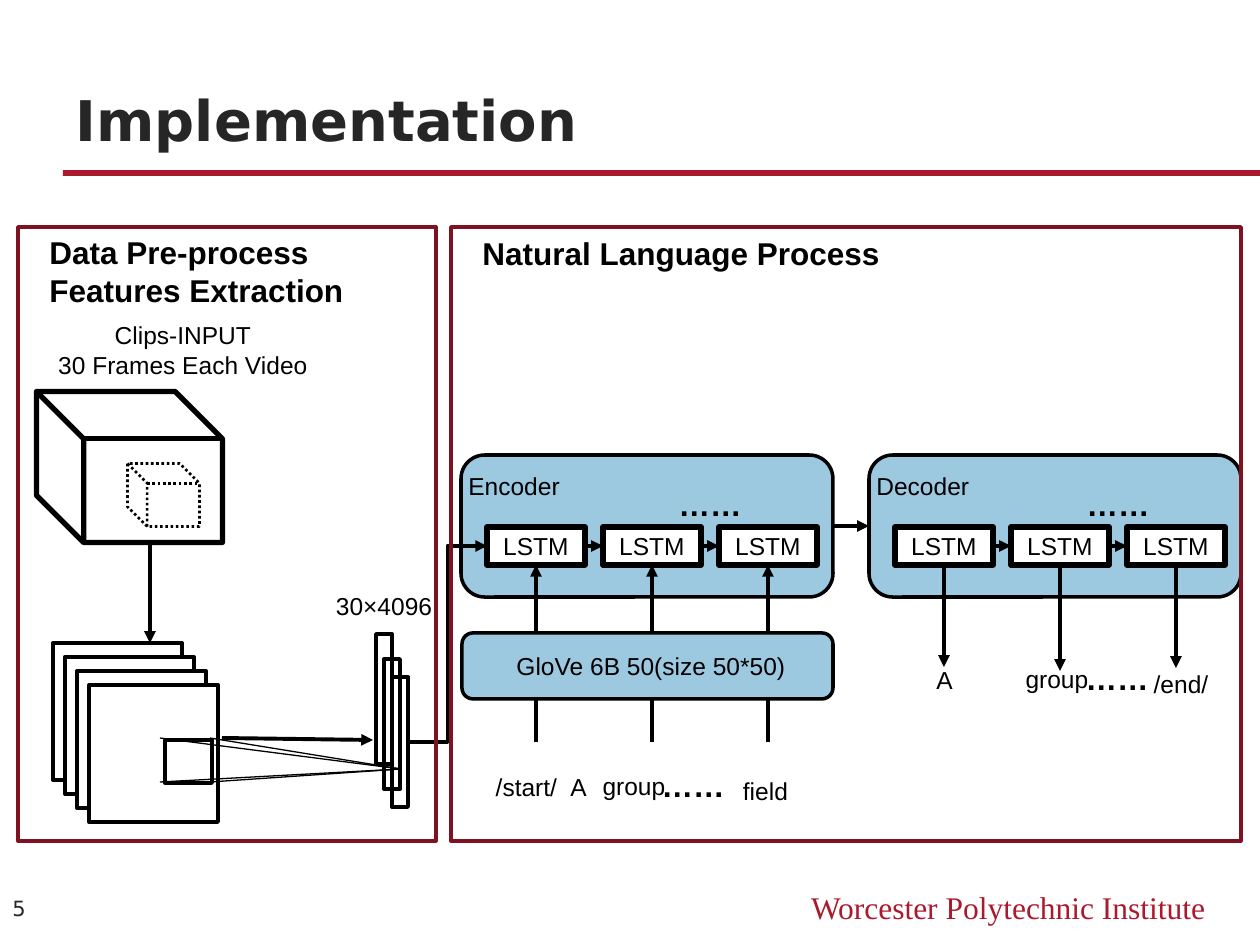
from lxml import etree
from pptx import Presentation
from pptx.dml.color import RGBColor
from pptx.enum.dml import MSO_LINE_DASH_STYLE as Dash
from pptx.enum.shapes import MSO_CONNECTOR as Connector, MSO_SHAPE as Shape
from pptx.enum.text import MSO_ANCHOR as Anchor, PP_ALIGN as Align
from pptx.oxml.ns import qn
from pptx.util import Pt

EMU_PER_PX = 914400 / 126
COLORS = {"rule": "AB192D", "frame": "7F1221", "block": "9CC8E0",
          "ink": "000000", "title": "262626", "paper": "FFFFFF"}
TOP, LEFT, BOTTOM, RIGHT = range(4)


def px(*lengths):
    return [round(length * EMU_PER_PX) for length in lengths]


def rgb(name):
    return RGBColor.from_string(COLORS[name])


def write(text_frame, lines, size=14, bold=False, align=Align.CENTER,
          font="Arial", color="ink", anchor=Anchor.TOP):
    """Fill a text frame, one paragraph per line; centred text has no side insets."""
    text_frame.word_wrap = True
    text_frame.vertical_anchor = anchor
    if align == Align.CENTER:
        text_frame.margin_left = text_frame.margin_right = 0
    for index, line in enumerate(lines):
        paragraph = text_frame.add_paragraph() if index else text_frame.paragraphs[0]
        paragraph.alignment = align
        run = paragraph.add_run()
        run.text = line
        run.font.size, run.font.bold, run.font.name = Pt(size), bold, font
        run.font.color.rgb = rgb(color)


def add_text(slide, box, *lines, **style):
    text_box = slide.shapes.add_textbox(*px(*box))
    write(text_box.text_frame, lines, **style)


def add_box(slide, box, kind=Shape.RECTANGLE, fill=None, line="ink", width=2.25):
    shape = slide.shapes.add_shape(kind, *px(*box))
    shape.shadow.inherit = False
    if fill:
        shape.fill.solid()
        shape.fill.fore_color.rgb = rgb(fill)
    else:
        shape.fill.background()
    if line:
        shape.line.color.rgb = rgb(line)
        shape.line.width = Pt(width)
    else:
        shape.line.fill.background()
    return shape


def add_line(slide, start=(0, 0), end=(0, 0), begin_at=None, end_at=None,
             kind=Connector.STRAIGHT, width=2.25, arrow=True):
    """Draw a line; begin_at and end_at are (shape, side) pairs to join."""
    line = slide.shapes.add_connector(kind, *px(*start, *end))
    if begin_at:
        line.begin_connect(*begin_at)
    if end_at:
        line.end_connect(*end_at)
    line.line.color.rgb = rgb("ink")
    line.line.width = Pt(width)
    if arrow:
        etree.SubElement(line.line._get_or_add_ln(), qn("a:tailEnd"), type="triangle")
    etree.SubElement(line._element.spPr, qn("a:effectLst"))


def add_cube(slide, box, width):
    cube = add_box(slide, box, Shape.CUBE, width=width)
    cube.rotation = 270
    cube.adjustments[0] = 0.313
    return cube


def add_header(slide, box):
    left, top, width, height = box
    title = slide.shapes.title
    title.left, title.top, title.width, title.height = px(left, top, 1134, 111)
    write(title.text_frame, ["Implementation"], size=32, bold=True, align=Align.LEFT,
          font="DejaVu Sans", color="title", anchor=Anchor.BOTTOM)
    add_box(slide, (left, top + height - 6, width, 6), fill="rule", line=None)


def add_footer(slide, box):
    left, top, width, height = box
    add_text(slide, (left, top, 63, height), "5", size=12, align=Align.LEFT,
             font="DejaVu Sans", color="title", anchor=Anchor.MIDDLE)
    add_text(slide, (left + 756, top + 1, 462, 50), "Worcester Polytechnic Institute",
             size=18, align=Align.RIGHT, font="Times New Roman", color="rule")


def add_feature_extraction(slide, box):
    """Draw clips, frames and feature vectors; return the last vector."""
    left, top = box[:2]
    add_text(slide, (left + 19, top, 357, 89), "Data Pre-process", "Features Extraction",
             size=18, bold=True, align=Align.LEFT)
    add_text(slide, (left + 2, top + 87, 326, 79), "Clips-INPUT", "30 Frames Each Video")
    add_cube(slide, (left + 36, top + 147, 151, 186), 3)
    add_cube(slide, (left + 114, top + 232, 63, 72), 1.5).line.dash_style = Dash.ROUND_DOT

    for x, y in ((358, 407), (366, 432), (374, 450)):
        vector = add_box(slide, (left + x, top + y, 16, 130))
    for index in range(4):
        add_box(slide, (left + 35 + 12 * index, top + 416 + 14 * index, 129, 137),
                fill="paper")
    add_box(slide, (left + 147, top + 513, 47, 43), fill="paper")

    for x in (142, 192):
        for y in (511, 555):
            add_line(slide, (left + x, top + y), (left + 383, top + 542),
                     width=0.75, arrow=False)
    add_line(slide, (left + 204, top + 511), (left + 355, top + 513))
    add_line(slide, (left + 132, top + 316), (left + 132, top + 416))
    add_text(slide, (left + 294, top + 358, 144, 45), "30×4096")
    return vector


def add_lstm_block(slide, box, name):
    """Draw a block with three chained cells; return the block and its cells."""
    left, top = box[:2]
    block = add_box(slide, box, Shape.ROUNDED_RECTANGLE, "block", width=2)
    add_text(slide, (left - 5, top + 10, 263, 43), name, align=Align.LEFT)
    cells = []
    for index in range(3):
        cell = add_box(slide, (left + 26 + 116 * index, top + 72, 98, 38),
                       fill="paper", width=3)
        write(cell.text_frame, ["LSTM"], anchor=Anchor.MIDDLE)
        cells.append(cell)
    for first, second in zip(cells, cells[1:]):
        add_line(slide, begin_at=(first, RIGHT), end_at=(second, LEFT))
    add_text(slide, (left + 177, top + 24, 144, 45), "……", size=18, bold=True)
    return block, cells


def add_words(slide, left, top, words):
    for word, x, y, width in words:
        ellipsis = word == "……"
        add_text(slide, (left + x, top + y, width, 45), word,
                 size=18 if ellipsis else 14, bold=ellipsis)


def add_language_process(slide, box, vector):
    """Draw the encoder, fed by the vector and the words, and the decoder."""
    left, top = box[:2]
    add_text(slide, (left + 19, top + 1, 523, 50), "Natural Language Process",
             size=18, bold=True, align=Align.LEFT)
    encoder, inputs = add_lstm_block(slide, (left + 10, top + 228, 372, 142), "Encoder")
    decoder, outputs = add_lstm_block(slide, (left + 418, top + 228, 372, 142), "Decoder")
    add_line(slide, begin_at=(encoder, RIGHT), end_at=(decoder, LEFT))
    add_line(slide, begin_at=(vector, RIGHT), end_at=(inputs[0], LEFT),
             kind=Connector.ELBOW)

    for index, cell in enumerate(inputs):
        add_line(slide, (left + 85 + 116 * index, top + 515), end_at=(cell, BOTTOM))
    for index, (cell, tip) in enumerate(zip(outputs, (440, 444, 441))):
        add_line(slide, end=(left + 493 + 116 * index, top + tip),
                 begin_at=(cell, BOTTOM))

    embedding = add_box(slide, (left + 11, top + 406, 371, 66),
                        Shape.ROUNDED_RECTANGLE, "block", width=2)
    write(embedding.text_frame, ["GloVe 6B 50(size 50*50)"], anchor=Anchor.MIDDLE)
    embedding.text_frame.margin_left = px(7)[0]

    add_words(slide, left, top, [
        ("/start/", 24, 539, 103), ("A", 98, 539, 59), ("group", 139, 538, 88),
        ("……", 175, 533, 134), ("field", 279, 543, 71),
        ("A", 464, 432, 59), ("group", 562, 431, 88),
        ("……", 599, 426, 134), ("/end/", 689, 436, 82)])


def main():
    presentation = Presentation()
    presentation.slide_width, presentation.slide_height = px(1260, 945)
    slide = presentation.slides.add_slide(presentation.slide_layouts[5])
    data_panel = (18, 227, 418, 614)
    language_panel = (451, 227, 790, 614)

    add_header(slide, (63, 48, 1197, 128))
    vector = add_feature_extraction(slide, data_panel)
    add_language_process(slide, language_panel, vector)
    for panel in (data_panel, language_panel):
        add_box(slide, panel, line="frame", width=2)
    add_footer(slide, (0, 881, 1260, 54))
    presentation.save("out.pptx")


if __name__ == "__main__":
    main()
